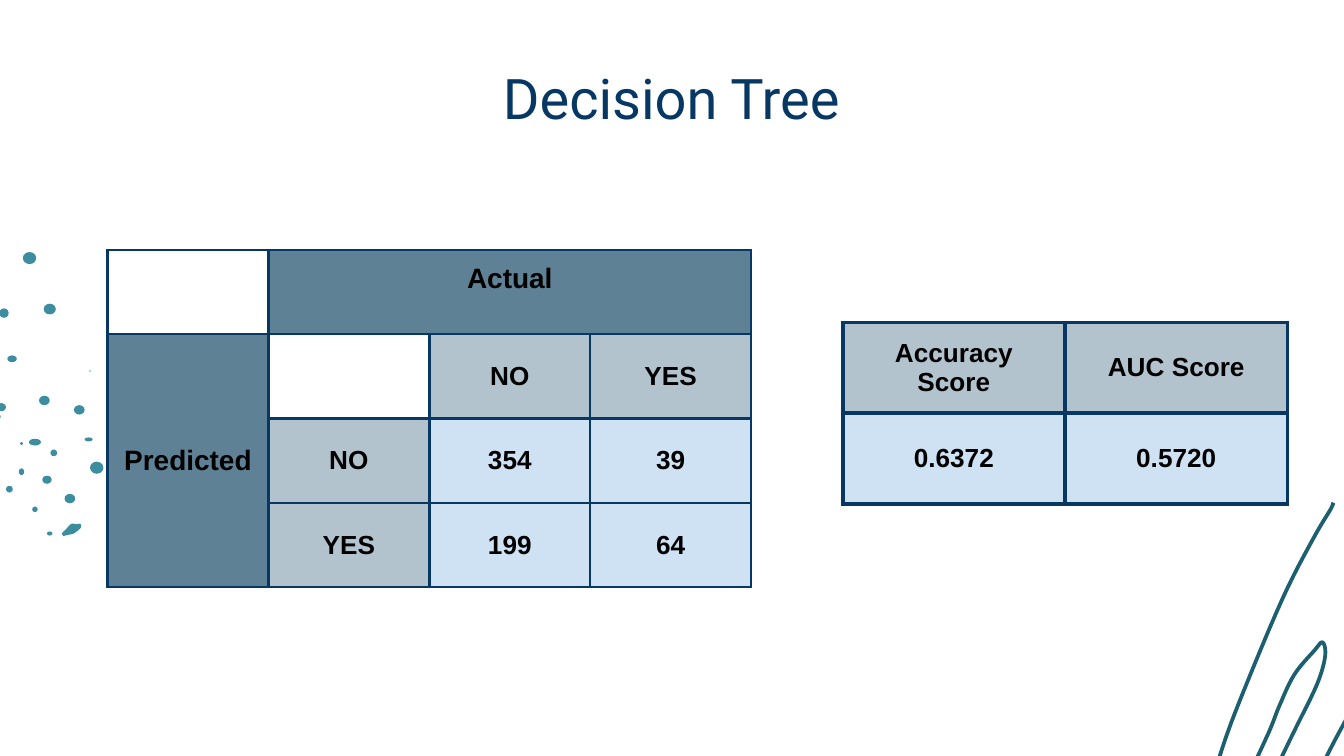
from lxml.etree import SubElement as Sub
from pptx import Presentation as Deck
from pptx.dml.color import RGBColor as Color
from pptx.enum.shapes import MSO_SHAPE as Kind
from pptx.enum.text import MSO_ANCHOR as Anchor, PP_ALIGN as Align
from pptx.oxml.ns import qn
from pptx.util import Inches, Pt

HUES = {"navy": "073763", "black": "000000", "teal": "3C8DA0", "pine": "1C5F6F",
        "slate": "5F8195", "gray": "B3C3CE", "pale": "CFE2F3"}

DOTS = [
    (-0.06, 3.1, 0.13, 0.11), (0.16, 3.3, 0.02, 0.02), (0.16, 3.51, 0.04, 0.05),
    (0.26, 3.79, 0.04, 0.04), (0.37, 3.97, 0.04, 0.03), (0.52, 3.71, 0.08, 0.07),
    (0.35, 3.57, 0.07, 0.06), (0.07, 3.64, 0.05, 0.05), (0.4, 3.37, 0.05, 0.05),
    (0.26, 3.29, 0.09, 0.05), (0.33, 2.98, 0.08, 0.07), (0.01, 3.03, 0.07, 0.06),
    (0.09, 2.67, 0.07, 0.05), (0.03, 2.33, 0.07, 0.07), (0.67, 2.76, 0.01, 0.01),
    (0.59, 3.05, 0.08, 0.07), (0.66, 3.27, 0.06, 0.03), (0.72, 3.48, 0.1, 0.09),
    (0.37, 2.3, 0.09, 0.08), (0.22, 1.92, 0.1, 0.09)]

LEAF = [(0.46, 3.97), (0.49, 3.94), (0.53, 3.9), (0.57, 3.9), (0.6, 3.9),
        (0.6, 3.93), (0.55, 3.97), (0.51, 3.98), (0.47, 3.99)]

CURL = [(9.92, 3.74), (9.9, 3.79), (9.77, 4.01), (9.54, 4.46), (9.23, 5.2),
        (9.09, 5.58), (9.06, 5.72), (9.1, 5.85), (9.19, 5.86), (9.28, 5.78),
        (9.44, 5.45), (9.52, 5.25), (9.63, 5.02), (9.78, 4.84), (9.84, 4.78),
        (9.86, 4.88), (9.8, 5.09), (9.63, 5.44), (9.44, 5.83), (9.36, 6.0),
        (9.3, 6.15), (9.32, 6.36), (9.45, 6.38), (9.57, 6.29), (9.65, 6.13),
        (9.73, 5.93), (9.9, 5.57), (10.09, 5.22)]


def hue(name):
    """Look up a colour."""
    return Color.from_string(HUES[name])


def put(frame, text, size=14, font="Arial", color="black", bold=True):
    """Write one centred line of formatted text."""
    para = frame.paragraphs[0]
    para.alignment = Align.CENTER
    run = para.add_run()
    run.text = text
    run.font.size, run.font.name, run.font.bold = Pt(size), font, bold
    run.font.color.rgb = hue(color)


def dot(slide, x, y, w, h):
    """Draw an oval about its centre."""
    oval = slide.shapes.add_shape(Kind.OVAL, Inches(x - w / 2), Inches(y - h / 2),
                                  Inches(w), Inches(h))
    paint(oval, "teal")


def paint(shape, color):
    """Fill a shape and drop its line and shadow."""
    shape.shadow.inherit = False
    shape.fill.solid()
    shape.fill.fore_color.rgb = hue(color)
    shape.line.fill.background()


def smooth(knots, steps=6):
    """Run a Catmull-Rom curve through the knots."""
    ends = [knots[0], *knots, knots[-1]]
    out = [knots[0]]
    for a, b, c, d in zip(ends, ends[1:], ends[2:], ends[3:]):
        for i in range(1, steps + 1):
            t = i / steps
            out.append(tuple(
                (2 * q + (r - p) * t + (2 * p - 5 * q + 4 * r - s) * t ** 2
                 + (3 * q - p - 3 * r + s) * t ** 3) / 2
                for p, q, r, s in zip(a, b, c, d)))
    return out


def trace(slide, knots, close):
    """Draw a smooth freeform through the knots."""
    pts = [(Inches(x), Inches(y)) for x, y in smooth(knots)]
    pen = slide.shapes.build_freeform(*pts[0])
    pen.add_line_segments(pts[1:], close=close)
    return pen.convert_to_shape()


def edge(cell, width):
    """Give a cell four solid borders."""
    props = cell._tc.get_or_add_tcPr()
    for spot, side in enumerate(("lnL", "lnR", "lnT", "lnB")):
        line = Sub(props, qn("a:" + side), w=str(Pt(width)))
        Sub(Sub(line, qn("a:solidFill")), qn("a:srgbClr"), val=HUES["navy"])
        props.insert(spot, line)


def grid(slide, x, y, wide, high, rows, width):
    """Build a table of the given full size from (text, fill, size) cells."""
    m, n = len(rows), len(rows[0])
    table = slide.shapes.add_table(m, n, Inches(x), Inches(y),
                                   Inches(wide), Inches(high)).table
    table.first_row = table.horz_banding = False
    for i, row in enumerate(rows):
        for j, item in enumerate(row):
            cell = table.cell(i, j)
            cell.margin_left = cell.margin_right = Inches(0.1)
            cell.margin_top = cell.margin_bottom = Inches(0.1)
            cell.vertical_anchor = Anchor.MIDDLE
            if item:
                text, fill, size = item
                cell.fill.solid()
                cell.fill.fore_color.rgb = hue(fill)
                put(cell.text_frame, text, size=size)
            else:
                cell.fill.background()
            edge(cell, width)
    return table


def head(slide, text):
    """Place and format the title."""
    title = slide.shapes.title
    title.left, title.top = Inches(0.8), Inches(0.41)
    title.width, title.height = Inches(8.39), Inches(0.63)
    frame = title.text_frame
    frame.vertical_anchor = Anchor.MIDDLE
    frame.margin_left = frame.margin_right = Inches(0.1)
    frame.margin_top = frame.margin_bottom = Inches(0.1)
    put(frame, text, size=30, font="Roboto", color="navy", bold=False)


def decor(slide):
    """Draw the dots, the leaf and the curl."""
    paint(trace(slide, LEAF, True), "teal")
    for spot in DOTS:
        dot(slide, *spot)
    curl = trace(slide, CURL, False)
    curl.shadow.inherit = False
    curl.fill.background()
    curl.line.color.rgb = hue("pine")
    curl.line.width = Pt(2)


def label(text):
    """Make a heading cell."""
    return text, "gray", 14


def value(text):
    """Make a figure cell."""
    return text, "pale", 14


def main():
    """Build and save the slide."""
    deck = Deck()
    deck.slide_width = Inches(10)
    deck.slide_height = deck.slide_width * 9 // 16
    slide = deck.slides.add_slide(deck.slide_layouts[5])
    decor(slide)
    head(slide, "Decision Tree")
    table = grid(slide, 0.8, 1.86, 4.79, 2.51, [
        [None, ("Actual", "slate", 15), None, None],
        [("Predicted", "slate", 15), None, label("NO"), label("YES")],
        [None, label("NO"), value("354"), value("39")],
        [None, label("YES"), value("199"), value("64")]], 1.5)
    table.cell(0, 1).merge(table.cell(0, 3))
    table.cell(0, 1).vertical_anchor = Anchor.TOP
    table.cell(1, 0).merge(table.cell(3, 0))
    grid(slide, 6.27, 2.4, 3.31, 1.35, [
        [label("Accuracy Score"), label("AUC Score")],
        [value("0.6372"), value("0.5720")]], 2.25)
    deck.save("out.pptx")


if __name__ == "__main__":
    main()
